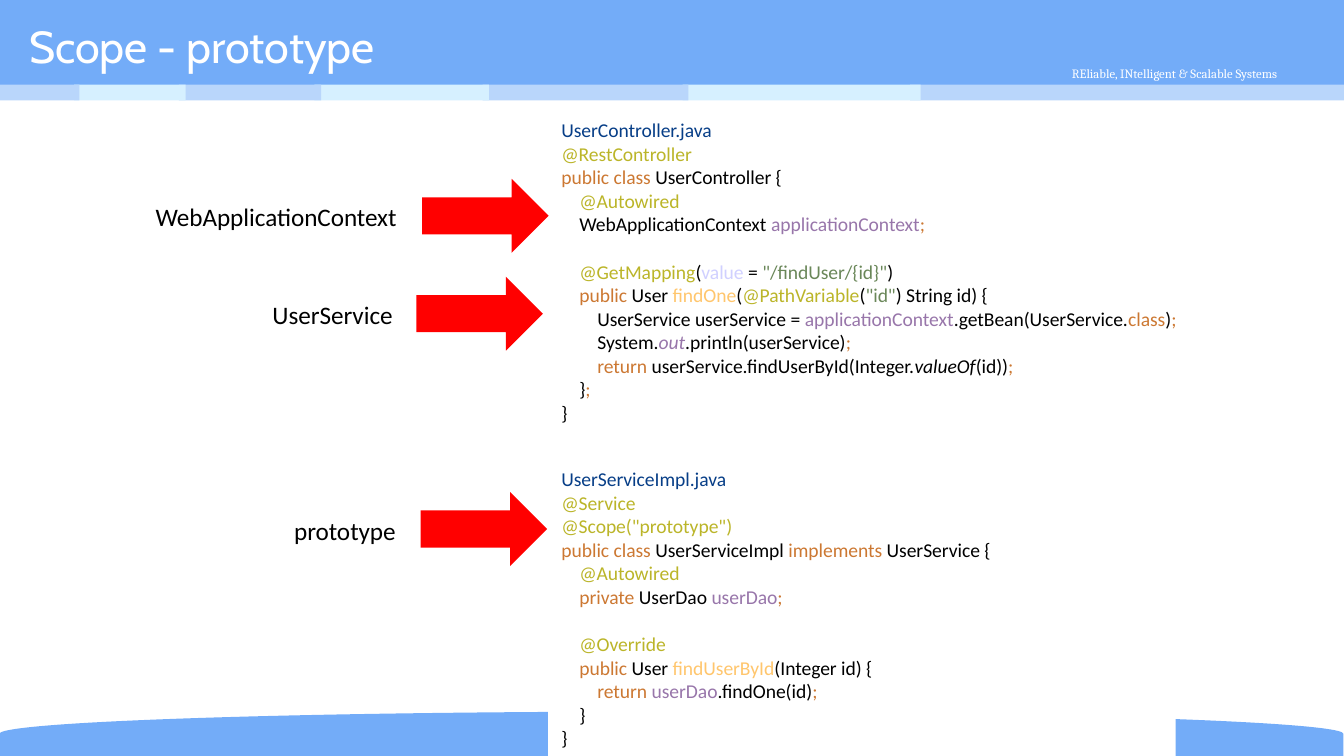
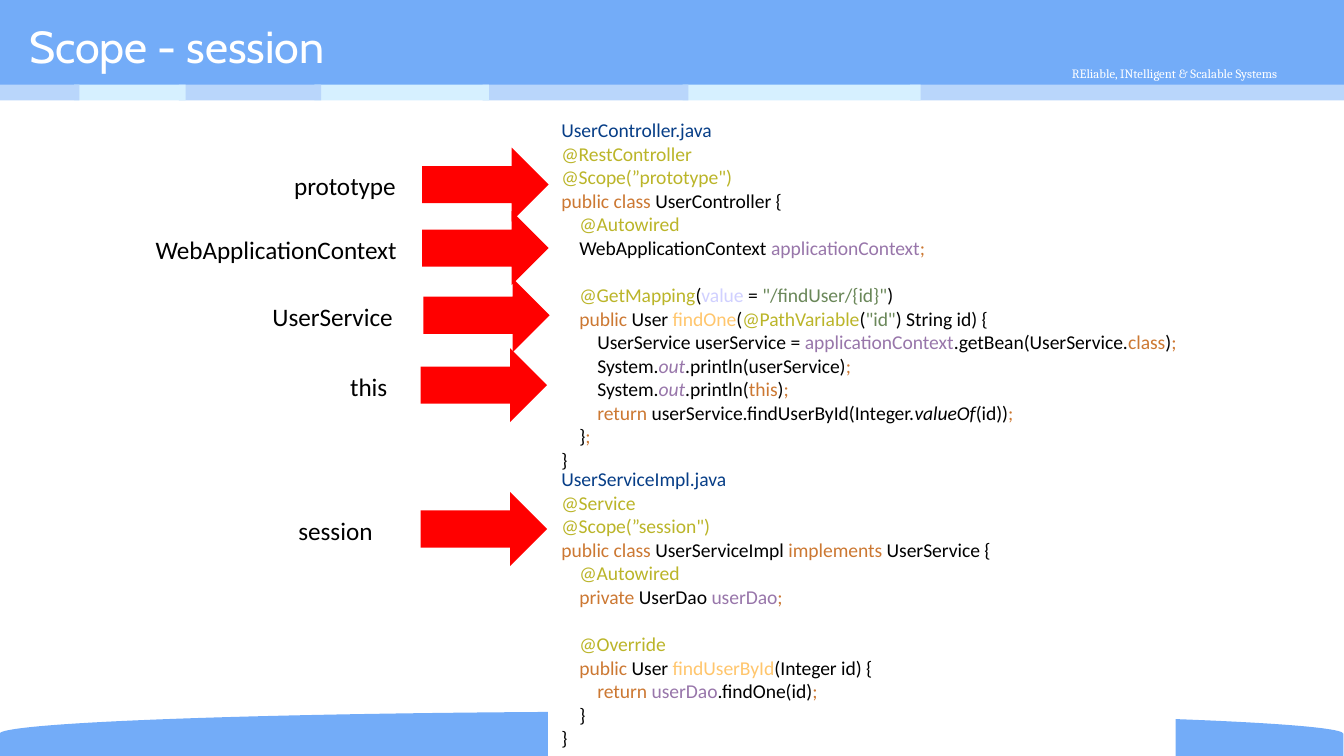
from pptx import Presentation
from pptx.dml.color import RGBColor
from pptx.enum.shapes import MSO_SHAPE as Shape
from pptx.enum.text import MSO_ANCHOR as Anchor, MSO_AUTO_SIZE as Fit, PP_ALIGN as Align
from pptx.util import Cm, Pt

BLUE = RGBColor(0x73, 0xAC, 0xF8)
PALE = RGBColor(0xB9, 0xD6, 0xFB)
ICE = RGBColor(0xD6, 0xF0, 0xFF)
WHITE = RGBColor(0xFF, 0xFF, 0xFF)
BLACK = RGBColor(0, 0, 0)
RED = RGBColor(0xFF, 0, 0)
NAVY = RGBColor(0x07, 0x3E, 0x87)
OLIVE = RGBColor(0xBB, 0xB5, 0x29)
RUST = RGBColor(0xCC, 0x78, 0x32)
MAUVE = RGBColor(0x98, 0x76, 0xAA)
LILAC = RGBColor(0xD0, 0xD0, 0xFF)
GREEN = RGBColor(0x6A, 0x87, 0x59)
AMBER = RGBColor(0xFF, 0xC6, 0x6D)

# Marked code: `kpublic` shows "public" in the style of key k.
STYLES = {
    "h": (NAVY, False), "a": (OLIVE, False), "k": (RUST, False),
    "f": (MAUVE, False), "v": (LILAC, False), "s": (GREEN, False),
    "m": (AMBER, False), "o": (MAUVE, True), "i": (BLACK, True),
}
INDENT = Cm(0.34)
CODE_SIZE, CODE_LINE = Pt(10.5), Pt(12.8)

CONTROLLER = """`hUserController.java`
`a@RestController`%s
`kpublic class `UserController {
    `a@Autowired`
    WebApplicationContext `fapplicationContext``k;`

    `a@GetMapping`(`vvalue `= `s"/findUser/{id}"`)
    `kpublic `User `mfindOne`(`a@PathVariable`(`s"id"`) String id) {
        UserService userService = `fapplicationContext`.getBean(UserService.`kclass`)`k;`
        System.`oout`.println(userService)`k;`%s
        `kreturn `userService.findUserById(Integer.`ivalueOf`(id))`k;`
    }`k;`
}"""
SERVICE = """`hUserServiceImpl.java`
`a@Service`
`a@Scope(%s")`
`kpublic class `UserServiceImpl `kimplements `UserService {
    `a@Autowired`
    `kprivate `UserDao `fuserDao``k;`

    `a@Override`
    `kpublic `User `mfindUserById`(Integer id) {
        `kreturn `fuserDao`.findOne(id)`k;`
    }
}"""
SERVICE = SERVICE.replace("`kreturn `fuserDao`", "`kreturn ``fuserDao`")
SCOPE_LINE = '\n`a@Scope(”prototype")`'
THIS_LINE = "\n        System.`oout`.println(`kthis`)`k;`"

# Left and width of each band, from back to front.
BANDS = [(17.2, 8.2), (12.9, 4.5), (9.12, 3.89), (5.94, 3.3),
         (3.38, 2.69), (1.4, 2.11), (0, 1.5)]


def add_block(slide, kind, left, top, width, height, fill, turn=0):
    block = slide.shapes.add_shape(kind, Cm(left), Cm(top), Cm(width), Cm(height))
    block.shadow.inherit = False
    block.fill.solid()
    block.fill.fore_color.rgb = fill
    block.line.fill.background()
    block.rotation = turn
    return block


def add_box(slide, left, top, width, height):
    box = slide.shapes.add_textbox(Cm(left), Cm(top), Cm(width), Cm(height))
    box.text_frame.word_wrap = True
    return box


def set_font(para, name, size, color):
    para.font.name, para.font.size = name, size
    para.font.color.rgb = color


def add_text(slide, place, text, name, size, color, align=Align.LEFT):
    frame = add_box(slide, *place).text_frame
    para = frame.paragraphs[0]
    para.text, para.alignment = text, align
    set_font(para, name, Pt(size), color)
    return frame


def fill_code(frame, code):
    """Write marked code, one paragraph a line; an empty line becomes a gap."""
    frame.auto_size = Fit.SHAPE_TO_FIT_TEXT
    para, gap = frame.paragraphs[0], False
    for num, line in enumerate(code.split("\n")):
        if not line:
            gap = True
            continue
        if num:
            para = frame.add_paragraph()
        para.alignment = Align.LEFT
        para.space_before = CODE_LINE if gap else Pt(0)
        gap = False
        text = line.lstrip()
        level = (len(line) - len(text)) // 4
        para._p.get_or_add_pPr().set("marL", str(level * INDENT))
        set_font(para, "Calibri", CODE_SIZE, BLACK)
        for pos, part in enumerate(text.split("`")):
            if not part:
                continue
            run = para.add_run()
            run.text = part
            if pos % 2:
                run.text = part[1:]
                run.font.color.rgb, run.font.italic = STYLES[part[0]]


def add_frame(slide, title):
    """Draw the bands, tagline and title that every slide has."""
    add_block(slide, Shape.FLOWCHART_DELAY, 12.27, 1.17, 0.84, 25.4, BLUE, 270)
    add_block(slide, Shape.RECTANGLE, 0, 0, 25.4, 1.65, BLUE)
    add_text(slide, (19.1, 1.12, 6.2, 0.53), "REliable, INtelligent & Scalable Systems",
             "Cambria", 6.8, WHITE, Align.CENTER)
    for num, (left, width) in enumerate(BANDS):
        add_block(slide, Shape.RECTANGLE, left, 1.6, width, 0.3, ICE if num % 2 else PALE)
    frame = add_text(slide, (0.3, 0.3, 18.95, 1.14), title, "Cabin", 24, WHITE)
    frame.vertical_anchor = Anchor.MIDDLE


def add_pointer(slide, text, left, width, tip, top, align=Align.LEFT):
    """Add a label and the red arrow beside it, which starts at tip."""
    add_block(slide, Shape.RIGHT_ARROW, tip, top, 2.39, 1.4, RED)
    add_text(slide, (left, top + 0.31, width, 0.84), text, "Calibri", 13.5, BLACK, align)


def add_scope(deck, title, service, control, height, marks):
    slide = deck.slides.add_slide(deck.slide_layouts[6])
    add_frame(slide, title)
    panel = add_block(slide, Shape.RECTANGLE, 10.36, 8.71, 11.86, 5.64, WHITE)
    panel.text_frame.word_wrap = True
    panel.text_frame.vertical_anchor = Anchor.TOP
    fill_code(panel.text_frame, service)
    fill_code(add_box(slide, 10.36, 2.11, 14.81, height).text_frame, control)
    for mark in marks:
        add_pointer(slide, *mark)


def main():
    deck = Presentation()
    deck.slide_width, deck.slide_height = Cm(25.4), Cm(14.29)
    add_scope(deck, "Scope - prototype", SERVICE % '"prototype', CONTROLLER % ("", ""), 6.1, [
        ("prototype", 5.31, 2.64, 7.95, 9.3),
        ("WebApplicationContext", 2.69, 5.44, 7.98, 3.38),
        ("UserService", 4.9, 3.07, 7.87, 5.23),
    ])
    add_scope(deck, "Scope - session", SERVICE % "”session",
              CONTROLLER % (SCOPE_LINE, THIS_LINE), 6.99, [
        ("session", 4.9, 2.39, 7.95, 9.3, Align.RIGHT),
        ("WebApplicationContext", 2.69, 5.44, 7.98, 3.99),
        ("UserService", 4.9, 3.07, 8, 5.26),
        ("prototype", 5.31, 2.67, 7.98, 2.79),
        ("this", 6.12, 1.45, 7.95, 6.58, Align.RIGHT),
    ])
    deck.save("out.pptx")


if __name__ == "__main__":
    main()
